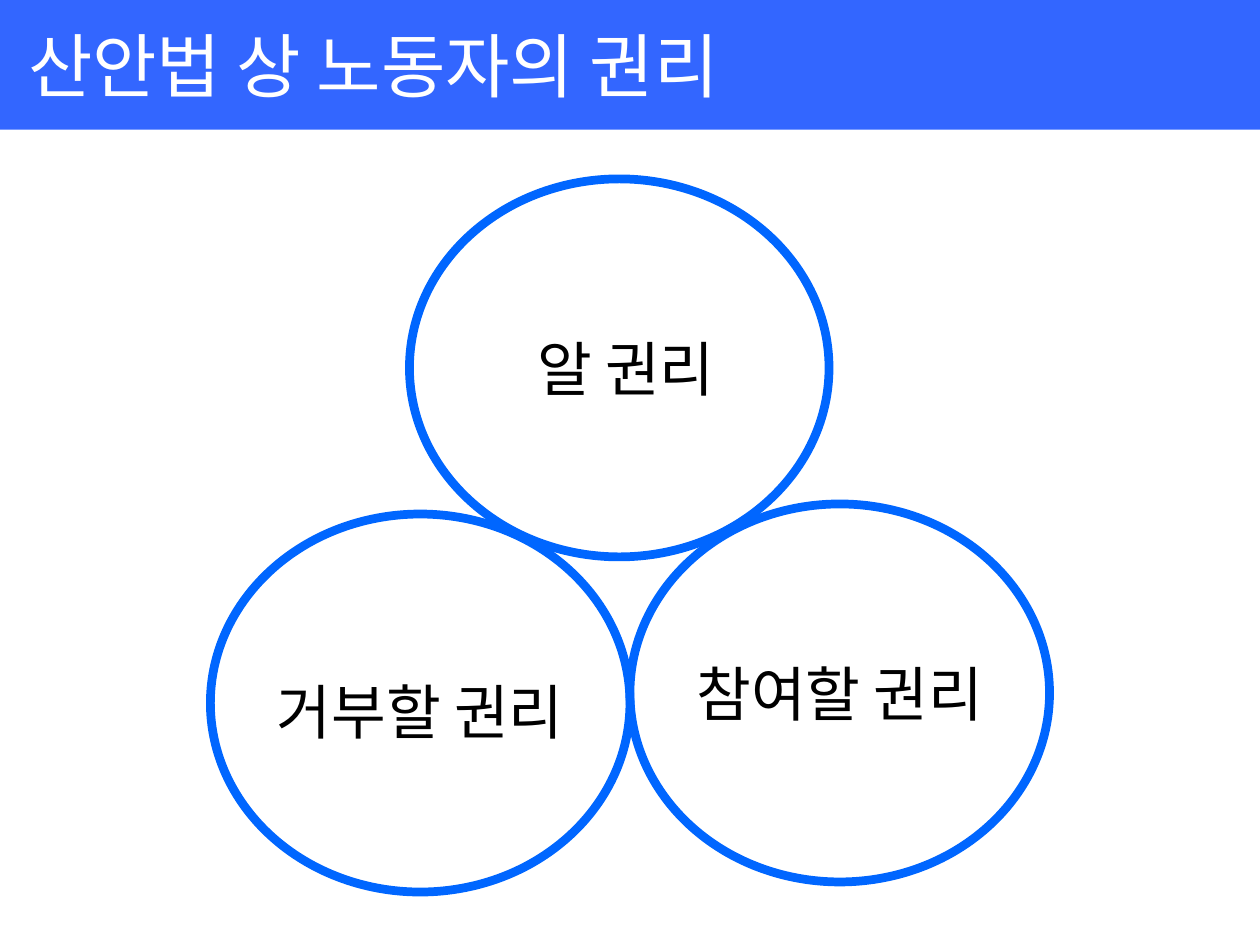
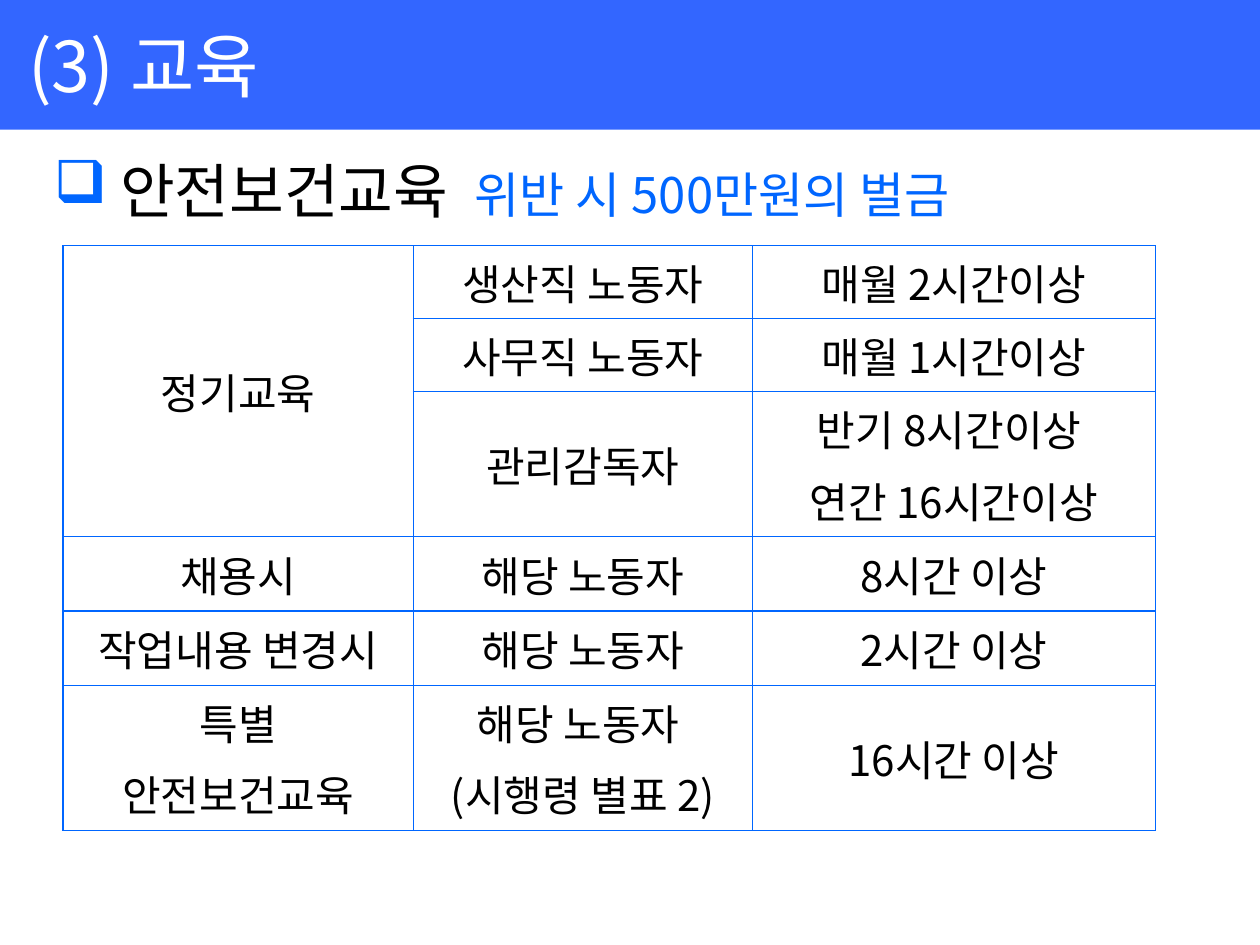
from dataclasses import dataclass
from typing import Any

from lxml.etree import SubElement as Sub
from pptx import Presentation
from pptx.dml.color import RGBColor
from pptx.enum.shapes import MSO_SHAPE as Shape
from pptx.enum.text import MSO_ANCHOR as Anchor, MSO_AUTO_SIZE as Fit, PP_ALIGN as Align
from pptx.oxml import parse_xml
from pptx.oxml.ns import nsdecls, qn
from pptx.util import Inches, Pt

# Shared style
FONT = "Noto Sans CJK KR"
BAND, BLUE, BLACK, WHITE = "3366FF", "0066FF", "000000", "FFFFFF"


@dataclass
class Ring:
    text: str
    left: float
    top: float
    inset: float = 0.05


RINGS = [
    Ring(" 알 권리", 3.25, 1.42),
    Ring("참여할 권리", 5, 4),
    Ring("거부할 권리", 1.67, 4.08, 0.17),
]

COLS = [2.78, 2.69, 3.2]
HIGHS = [0.58, 0.58, 1.15, 0.59, 0.59, 1.15]
ROWS = [
    ["정기교육", "생산직 노동자", "매월 2시간이상"],
    ["", "사무직 노동자", "매월 1시간이상"],
    ["", "관리감독자", "반기 8시간이상 \n연간 16시간이상"],
    ["채용시", "해당 노동자", "8시간 이상"],
    ["작업내용 변경시", "해당 노동자", "2시간 이상"],
    ["특별\n안전보건교육", "해당 노동자 \n(시행령 별표 2)", "16시간 이상"],
]


def rgb(code: str) -> RGBColor:
    return RGBColor.from_string(code)


def put(item: Any, form: dict[str, Any]) -> None:
    for name, value in form.items():
        setattr(item, name, value)


def write(para: Any, text: str, size: float, color: str) -> None:
    run = para.add_run()
    run.text = text
    put(run.font, {"size": Pt(size), "name": FONT, "bold": False})
    run.font.color.rgb = rgb(color)
    Sub(run.font._element, qn("a:ea"), typeface=FONT)


def add_page(deck: Any, text: str) -> Any:
    """Add a slide with the blue title band."""
    page = deck.slides.add_slide(deck.slide_layouts[5])
    band = page.shapes.title
    put(band, {"left": 0, "top": 0, "width": Inches(10), "height": Inches(1.03)})
    band.fill.solid()
    band.fill.fore_color.rgb = rgb(BAND)
    put(band.text_frame, {"vertical_anchor": Anchor.MIDDLE, "auto_size": Fit.NONE})
    para = band.text_frame.paragraphs[0]
    para.alignment = Align.LEFT
    write(para, text, 40, WHITE)
    return page


def draw_ring(page: Any, ring: Ring) -> None:
    oval = page.shapes.add_shape(Shape.OVAL, Inches(ring.left), Inches(ring.top),
                                 Inches(3.33), Inches(3))
    oval.shadow.inherit = False
    oval.fill.background()
    oval.line.color.rgb = rgb(BLUE)
    oval.line.width = Pt(5)
    put(oval.text_frame, {"word_wrap": False, "vertical_anchor": Anchor.MIDDLE,
                          "margin_top": Inches(ring.inset)})
    para = oval.text_frame.paragraphs[0]
    para.alignment = Align.CENTER
    write(para, ring.text, 34, BLACK)


def draw_head(page: Any) -> None:
    """Bulleted heading above the table."""
    box = page.shapes.add_textbox(Inches(0.33), Inches(1.17), Inches(9.33), Inches(0.75))
    box.text_frame.word_wrap = True
    para = box.text_frame.paragraphs[0]
    put(para, {"space_before": Pt(7), "space_after": Pt(7)})
    write(para, " 안전보건교육  ", 34, BLACK)
    write(para, "위반 시 500만원의 벌금", 28, BLUE)
    prop = para._p.get_or_add_pPr()
    prop.set("marL", str(Inches(0.38)))
    prop.set("indent", str(Inches(-0.38)))
    Sub(Sub(prop, qn("a:buClr")), qn("a:srgbClr"), val=BLUE)
    Sub(prop, qn("a:buChar"), char="❑")


def edge(cell: Any) -> None:
    """Thin blue lines on all four sides of a cell."""
    prop = cell._tc.get_or_add_tcPr()
    for spot, side in enumerate(("lnL", "lnR", "lnT", "lnB")):
        prop.insert(spot, parse_xml(
            f'<a:{side} {nsdecls("a")} w="{Pt(0.75)}"><a:solidFill>'
            f'<a:srgbClr val="{BLUE}"/></a:solidFill></a:{side}>'))


def fill_cell(cell: Any, text: str) -> None:
    cell.fill.background()
    edge(cell)
    cell.vertical_anchor = Anchor.MIDDLE
    frame = cell.text_frame
    for spot, line in enumerate(text.split("\n") if text else []):
        para = frame.add_paragraph() if spot else frame.paragraphs[0]
        put(para, {"alignment": Align.CENTER, "space_after": Pt(6)})
        write(para, line, 24, BLACK)


def draw_table(page: Any) -> None:
    grid = page.shapes.add_table(len(ROWS), len(COLS), Inches(0.5), Inches(1.95),
                                 Inches(sum(COLS)), Inches(sum(HIGHS))).table
    put(grid, {"first_row": False, "horz_banding": False})
    for col, wide in zip(grid.columns, COLS):
        col.width = Inches(wide)
    for row, high, texts in zip(grid.rows, HIGHS, ROWS):
        row.height = Inches(high)
        for cell, text in zip(row.cells, texts):
            fill_cell(cell, text)
    grid.cell(0, 0).merge(grid.cell(2, 0))


def main() -> None:
    deck = Presentation()
    put(deck, {"slide_width": Inches(10), "slide_height": Inches(7.5)})

    # Three rights
    page = add_page(deck, " 산안법 상 노동자의 권리")
    for ring in RINGS:
        draw_ring(page, ring)

    # Training hours
    page = add_page(deck, " (3) 교육")
    draw_head(page)
    draw_table(page)

    deck.save("out.pptx")


if __name__ == "__main__":
    main()
